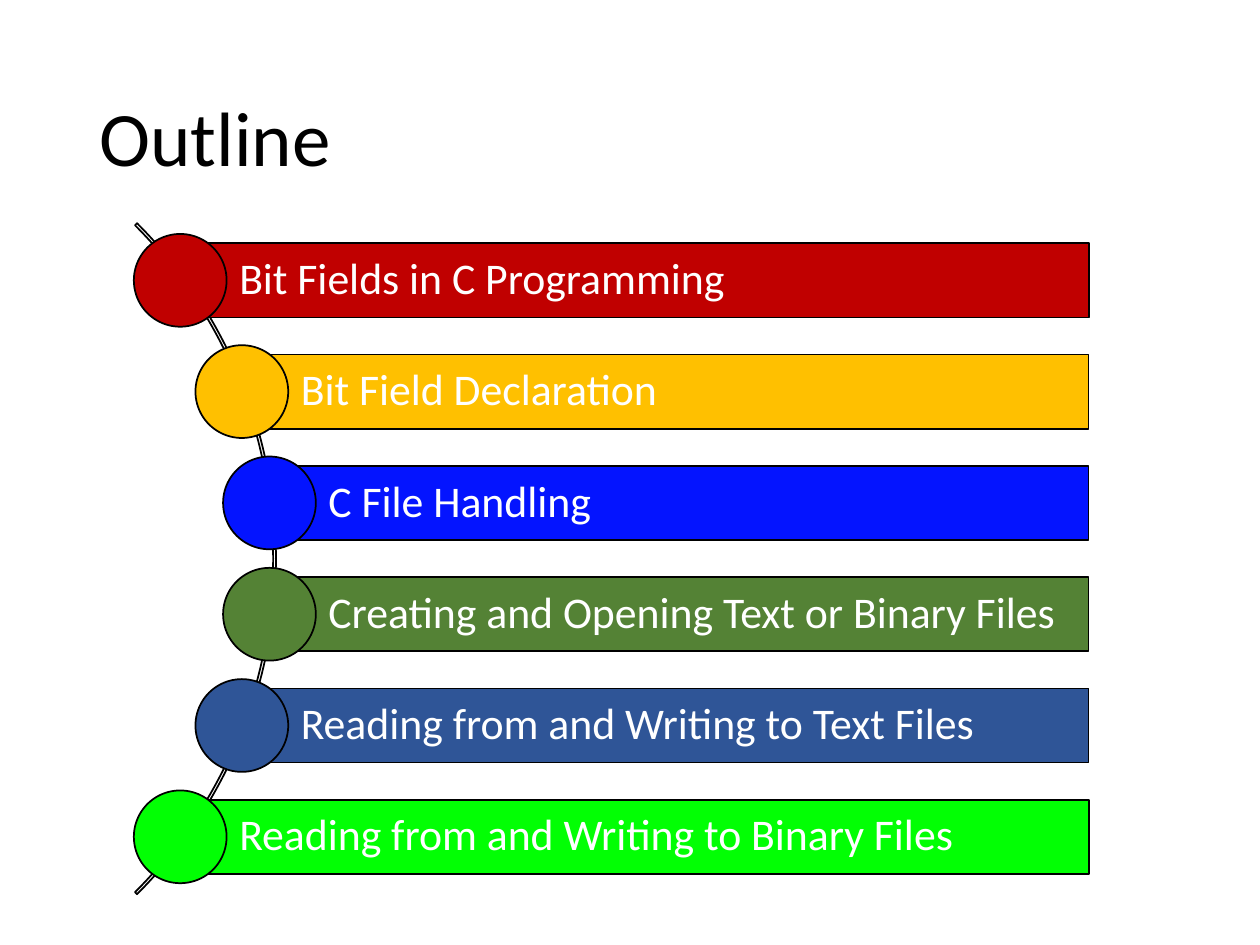
"""Build an outline slide with six topics strung along a curved arc."""
from pptx import Presentation
from pptx.dml.color import RGBColor
from pptx.enum import shapes, text
from pptx.util import Pt

COLOURS = {
    "black": "000000", "white": "FFFFFF", "red": "C00000", "amber": "FFC000",
    "blue": "0414FF", "green": "548235", "navy": "2F5597", "lime": "02FF04",
}
TITLE = "Outline"
TOPICS = [
    ("Bit Fields in C Programming", "red", 103),
    ("Bit Field Declaration", "amber", 138.2),
    ("C File Handling", "blue", 154),
    ("Creating and Opening Text or Binary Files", "green", 154),
    ("Reading from and Writing to Text Files", "navy", 138.2),
    ("Reading from and Writing to Binary Files", "lime", 103),
]
FIRST_CENTRE, PITCH = 160.2, 63.6
BAR_RIGHT, BAR_HEIGHT, DOT = 622.1, 42.4, 53
ARC_BOX = (-384.5, 48.2, 542.2, 542.2)
ARC_ADJUSTMENTS = (189, 27, 0.003)
TITLE_BOX = (49.5, 28.75, 621, 104.4)
TITLE_FRAME = {"vertical_anchor": text.MSO_ANCHOR.MIDDLE, "word_wrap": True}
BAR_FRAME = {
    **TITLE_FRAME, "margin_left": Pt(33.7), "margin_right": Pt(5),
    "margin_top": Pt(5), "margin_bottom": Pt(5),
}
PARA_FORMAT = {"alignment": text.PP_ALIGN.LEFT, "line_spacing": 0.9}


def colour(name):
    return RGBColor.from_string(COLOURS[name])


def apply(target, values):
    for name, value in values.items():
        setattr(target, name, value)


def add_outlined(page, kind, box, fill=None):
    shape = page.shapes.add_shape(kind, *map(Pt, box))
    shape.shadow.inherit = False
    if fill:
        shape.fill.solid()
        shape.fill.fore_color.rgb = colour(fill)
    else:
        shape.fill.background()
    shape.line.color.rgb = colour("black")
    shape.line.width = Pt(1)
    return shape


def write(shape, words, size, ink, frame_format):
    frame = shape.text_frame
    apply(frame, frame_format)
    para = frame.paragraphs[0]
    apply(para, PARA_FORMAT)
    span = para.add_run()
    span.text = words
    apply(span.font, {"name": "Calibri", "size": Pt(size)})
    span.font.color.rgb = colour(ink)


def main():
    deck = Presentation()
    deck.slide_width, deck.slide_height = Pt(720), Pt(540)
    page = deck.slides.add_slide(deck.slide_layouts[5])

    title = page.shapes.title
    apply(title, dict(zip(("left", "top", "width", "height"), map(Pt, TITLE_BOX))))
    write(title, TITLE, 44, "black", TITLE_FRAME)

    arc = add_outlined(page, shapes.MSO_SHAPE.BLOCK_ARC, ARC_BOX)
    for index, value in enumerate(ARC_ADJUSTMENTS):
        arc.adjustments[index] = value

    for row, (words, fill, left) in enumerate(TOPICS):
        centre = FIRST_CENTRE + row * PITCH
        bar_box = (left, centre - BAR_HEIGHT / 2, BAR_RIGHT - left, BAR_HEIGHT)
        dot_box = (left - DOT / 2, centre - DOT / 2, DOT, DOT)
        bar = add_outlined(page, shapes.MSO_SHAPE.RECTANGLE, bar_box, fill)
        write(bar, words, 25, "white", BAR_FRAME)
        add_outlined(page, shapes.MSO_SHAPE.OVAL, dot_box, fill)

    deck.save("out.pptx")


if __name__ == "__main__":
    main()
